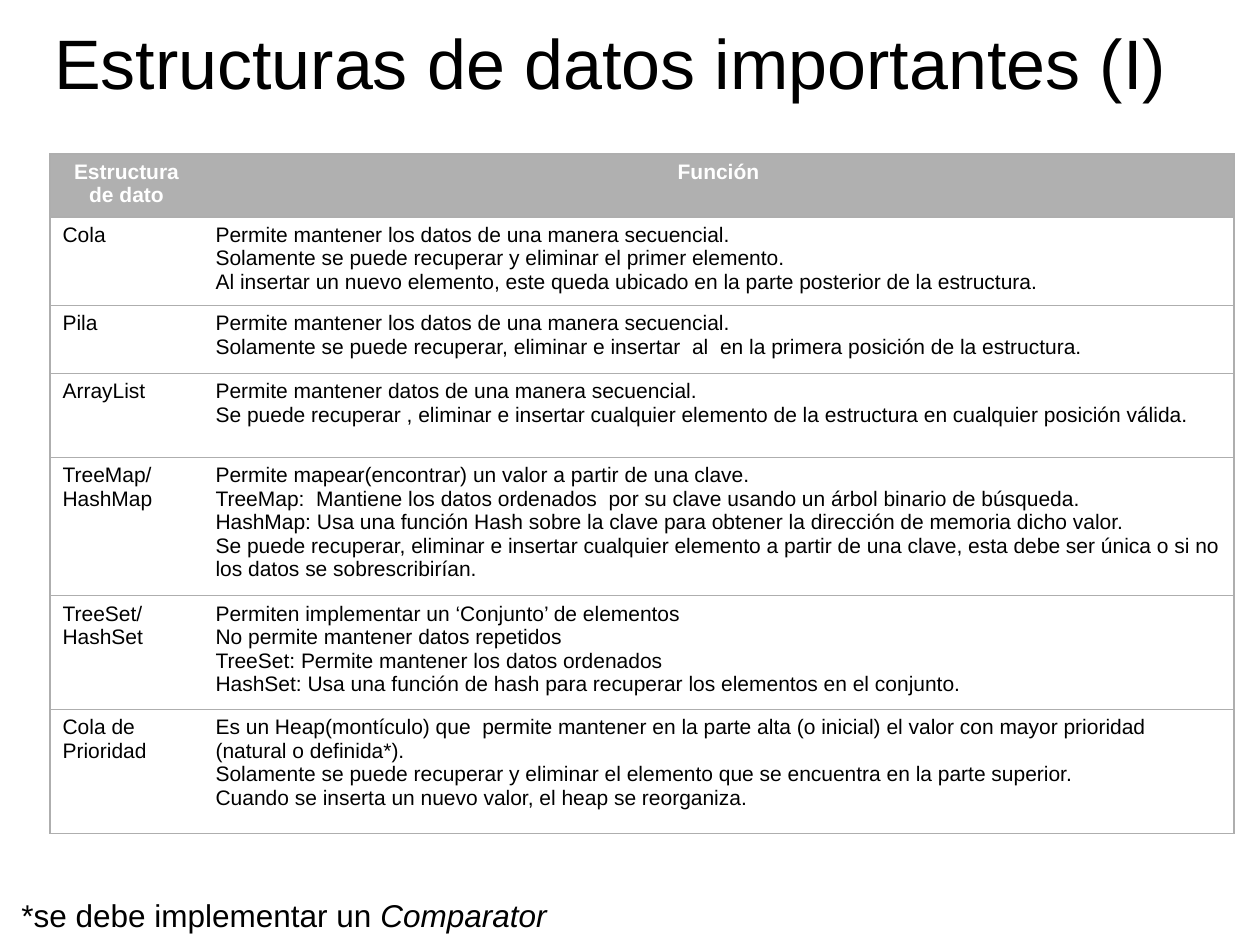
"""Build the slide that lists important data structures and their purpose."""
from lxml import etree
from pptx import Presentation
from pptx.dml.color import RGBColor
from pptx.enum.text import MSO_ANCHOR, PP_ALIGN
from pptx.oxml.ns import qn
from pptx.util import Emu, Pt

BOTTOM, TOP = MSO_ANCHOR.BOTTOM, MSO_ANCHOR.TOP
CENTER, LEFT = PP_ALIGN.CENTER, PP_ALIGN.LEFT
PX = 914400 // 126
FONT = "Arial"
BLACK, WHITE, HEADER_GRAY, LINE_GRAY = "000000", "FFFFFF", "B0B0B0", "AEAEAE"

TITLE = "Estructuras de datos importantes (I)"
FOOTNOTE = [("*se debe implementar un ", False), ("Comparator", True)]
COLUMN_WIDTHS = [153, 1031]
ROWS = [
    (60, ["Estructura de dato"], ["Función"]),
    (83, ["Cola"], [
        "Permite mantener los datos de una manera secuencial.",
        "Solamente se puede recuperar y eliminar el primer elemento.",
        "Al insertar un nuevo elemento, este queda ubicado en la parte posterior de la estructura."]),
    (68, ["Pila"], [
        "Permite mantener los datos de una manera secuencial.",
        "Solamente se puede recuperar, eliminar e insertar  al  en la primera posición de la estructura."]),
    (84, ["ArrayList"], [
        "Permite mantener datos de una manera secuencial.",
        "Se puede recuperar , eliminar e insertar cualquier elemento de la estructura en cualquier posición válida."]),
    (130, ["TreeMap/", "HashMap"], [
        "Permite mapear(encontrar) un valor a partir de una clave.",
        "TreeMap:  Mantiene los datos ordenados  por su clave usando un árbol binario de búsqueda.",
        "HashMap: Usa una función Hash sobre la clave para obtener la dirección de memoria dicho valor.",
        "Se puede recuperar, eliminar e insertar cualquier elemento a partir de una clave, "
        "esta debe ser única o si no los datos se sobrescribirían."]),
    (107, ["TreeSet/", "HashSet"], [
        "Permiten implementar un ‘Conjunto’ de elementos",
        "No permite mantener datos repetidos",
        "TreeSet: Permite mantener los datos ordenados",
        "HashSet: Usa una función de hash para recuperar los elementos en el conjunto."]),
    (124, ["Cola de Prioridad"], [
        "Es un Heap(montículo) que  permite mantener en la parte alta (o inicial) "
        "el valor con mayor prioridad (natural o definida*).",
        "Solamente se puede recuperar y eliminar el elemento que se encuentra en la parte superior.",
        "Cuando se inserta un nuevo valor, el heap se reorganiza."]),
]


def px(length):
    return Emu(length * PX)


def color(value):
    return RGBColor.from_string(value)


def style(paragraph, size, ink=BLACK, align=LEFT, bold=False):
    paragraph.alignment = align
    paragraph.font.name = FONT
    paragraph.font.size = Pt(size)
    paragraph.font.bold = bold
    paragraph.font.color.rgb = color(ink)


def add_text(slide, box, runs, size, align=LEFT, anchor=TOP):
    frame = slide.shapes.add_textbox(*map(px, box)).text_frame
    frame.word_wrap = True
    frame.vertical_anchor = anchor
    paragraph = frame.paragraphs[0]
    for wording, italic in runs:
        run = paragraph.add_run()
        run.text = wording
        if italic:
            run.font.italic = True
    style(paragraph, size, align=align)


def set_borders(cell, drawn_sides):
    properties = cell._tc.get_or_add_tcPr()
    for position, side in enumerate("LRTB"):
        border = etree.Element(qn(f"a:ln{side}"), w=str(Pt(0.75)))
        if side in drawn_sides:
            fill = etree.SubElement(border, qn("a:solidFill"))
            etree.SubElement(fill, qn("a:srgbClr"), val=LINE_GRAY)
        else:
            etree.SubElement(border, qn("a:noFill"))
        properties.insert(position, border)


def fill_cell(cell, lines, is_header, drawn_sides):
    cell.fill.solid()
    cell.fill.fore_color.rgb = color(HEADER_GRAY if is_header else WHITE)
    cell.text = "\n".join(lines)
    for paragraph in cell.text_frame.paragraphs:
        if is_header:
            style(paragraph, 12, WHITE, CENTER, bold=True)
        else:
            style(paragraph, 12)
    set_borders(cell, drawn_sides)


def add_structures(slide, left, top):
    heights = [row[0] for row in ROWS]
    table = slide.shapes.add_table(
        len(ROWS), len(COLUMN_WIDTHS), px(left), px(top),
        px(sum(COLUMN_WIDTHS)), px(sum(heights))).table
    for column, width in zip(table.columns, COLUMN_WIDTHS):
        column.width = px(width)
    for index, (height, *cells) in enumerate(ROWS):
        table.rows[index].height = px(height)
        for column, (lines, sides) in enumerate(zip(cells, ("LTB", "RTB"))):
            fill_cell(table.cell(index, column), lines, index == 0, sides)


def main():
    deck = Presentation()
    deck.slide_width, deck.slide_height = px(1260), px(945)
    slide = deck.slides.add_slide(deck.slide_layouts[6])
    add_text(slide, (30, 8, 1160, 102), [(TITLE, False)], 40, CENTER, BOTTOM)
    add_structures(slide, 50, 154)
    add_text(slide, (9, 890, 661, 50), FOOTNOTE, 18)
    deck.save("out.pptx")


if __name__ == "__main__":
    main()
